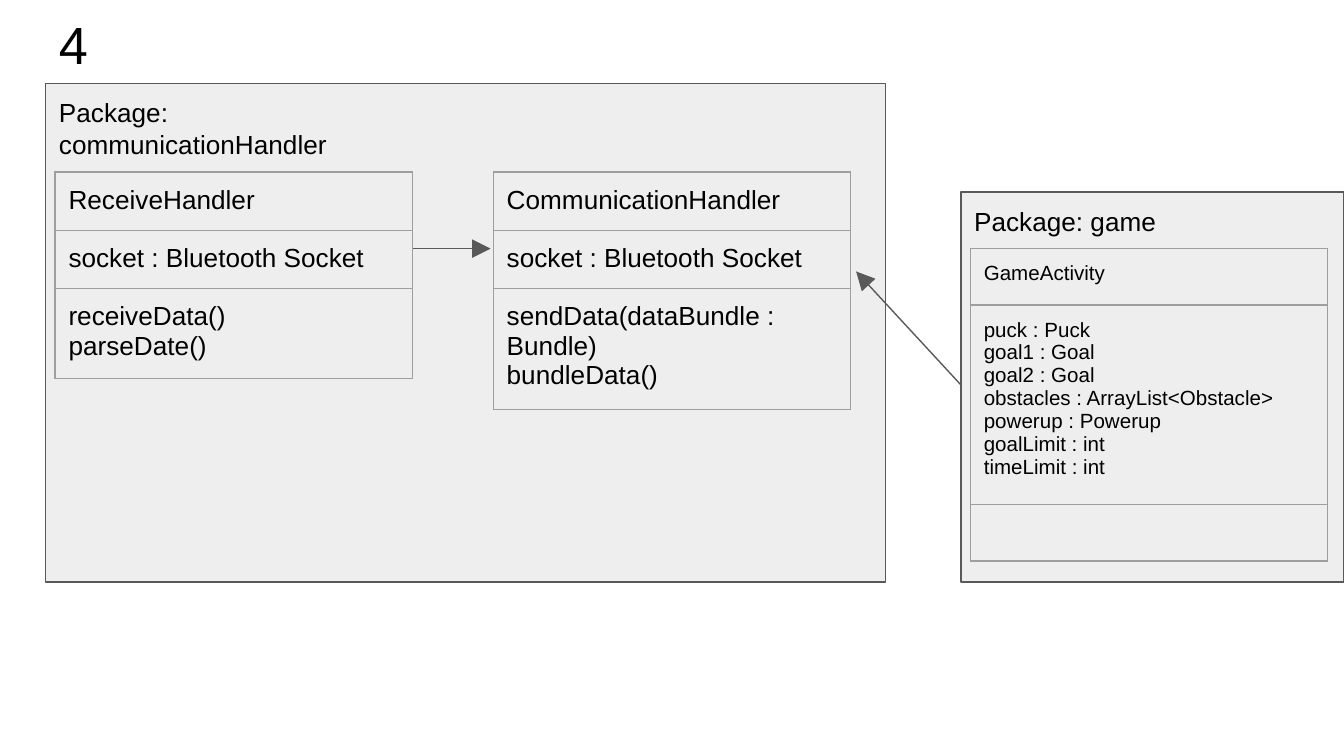
from lxml import etree
from pptx import Presentation
from pptx.dml.color import RGBColor
from pptx.enum.shapes import MSO_CONNECTOR, MSO_SHAPE
from pptx.enum.text import MSO_ANCHOR
from pptx.oxml.ns import qn
from pptx.util import Inches, Pt

RECTANGLE = MSO_SHAPE.RECTANGLE
STRAIGHT = MSO_CONNECTOR.STRAIGHT
TOP = MSO_ANCHOR.TOP

FONT = "Arial"
BLACK, PANEL, OUTLINE, BORDER = "000000", "EEEEEE", "595959", "9E9E9E"
LINE_WIDTH = Pt(0.75)
INSET = Inches(0.1)
CLASS_WIDTH, ROW_HEIGHT = 2.66, 0.42

TITLE = ("4", (0.34, -0.01, 9.32, 0.63))

COMMUNICATION_PACKAGE = {
    "label": "Package: communicationHandler",
    "box": (0.34, 0.62, 6.25, 3.71),
    "label_size": (3.05, 0.42),
    "classes": [
        {"at": (3.67, 1.28), "size": 14, "rows": [
            ["CommunicationHandler"],
            ["socket : Bluetooth Socket"],
            ["sendData(dataBundle : Bundle)", "bundleData()"]]},
        {"at": (0.41, 1.28), "size": 14, "rows": [
            ["ReceiveHandler"],
            ["socket : Bluetooth Socket"],
            ["receiveData()", "parseDate()"]]},
    ],
}
GAME_PACKAGE = {
    "label": "Package: game",
    "box": (7.15, 1.43, 2.85, 2.9),
    "label_size": (2.34, 0.42),
    "classes": [
        {"at": (7.22, 1.85), "size": 11, "rows": [
            ["GameActivity"],
            ["puck : Puck", "goal1 : Goal", "goal2 : Goal",
             "obstacles : ArrayList<Obstacle>", "powerup : Powerup",
             "goalLimit : int", "timeLimit : int"],
            []]},
    ],
}
ARROWS = [((3.07, 1.85), (3.65, 1.85)), ((7.22, 2.94), (6.37, 2.02))]


def color(value):
    """Turn a hex string into a colour."""
    return RGBColor.from_string(value)


def inches(values):
    """Turn numbers into lengths."""
    return [Inches(value) for value in values]


def write(text_frame, lines, size):
    """Write one paragraph per line; without lines, only set the text size."""
    if not lines:
        end = text_frame.paragraphs[0]._p.get_or_add_endParaRPr()
        end.set("sz", str(size * 100))
    for index, line in enumerate(lines):
        paragraph = text_frame.paragraphs[0] if index == 0 else text_frame.add_paragraph()
        run = paragraph.add_run()
        run.text = line
        run.font.name = FONT
        run.font.size = Pt(size)
        run.font.color.rgb = color(BLACK)


def set_insets(target):
    """Give a text frame or a cell equal insets."""
    target.margin_left = target.margin_right = INSET
    target.margin_top = target.margin_bottom = INSET
    target.vertical_anchor = TOP


def add_label(slide, text, box, size):
    """Add a wrapped text box."""
    text_frame = slide.shapes.add_textbox(*inches(box)).text_frame
    text_frame.word_wrap = True
    set_insets(text_frame)
    write(text_frame, [text], size)


def add_panel(slide, box):
    """Add the outlined rectangle of a package."""
    shape = slide.shapes.add_shape(RECTANGLE, *inches(box))
    shape.shadow.inherit = False
    shape.fill.solid()
    shape.fill.fore_color.rgb = color(PANEL)
    shape.line.color.rgb = color(OUTLINE)
    shape.line.width = LINE_WIDTH


def add_borders(cell):
    """Draw all four borders of a cell."""
    properties = cell._tc.get_or_add_tcPr()
    for position, side in enumerate(("lnL", "lnR", "lnT", "lnB")):
        line = etree.Element(qn(f"a:{side}"), w=str(LINE_WIDTH))
        fill = etree.SubElement(line, qn("a:solidFill"))
        etree.SubElement(fill, qn("a:srgbClr"), val=BORDER)
        properties.insert(position, line)


def add_class(slide, at, size, rows):
    """Add a class as a one-column table whose rows grow with their text."""
    box = (*at, CLASS_WIDTH, ROW_HEIGHT * len(rows))
    table = slide.shapes.add_table(len(rows), 1, *inches(box)).table
    table.first_row = table.horz_banding = False
    for row, lines in zip(table.rows, rows):
        cell = row.cells[0]
        set_insets(cell)
        cell.fill.background()
        add_borders(cell)
        write(cell.text_frame, lines, size)


def add_package(slide, package):
    """Add a package panel with its classes and label."""
    add_panel(slide, package["box"])
    add_label(slide, package["label"], package["box"][:2] + package["label_size"], 14)
    for class_box in package["classes"]:
        add_class(slide, **class_box)


def add_arrow(slide, start, end):
    """Add a straight line with a triangle at its end."""
    connector = slide.shapes.add_connector(STRAIGHT, *inches(start + end))
    connector.line.color.rgb = color(OUTLINE)
    connector.line.width = LINE_WIDTH
    line = connector.line._get_or_add_ln()
    etree.SubElement(line, qn("a:tailEnd"), type="triangle", w="lg", len="lg")
    etree.SubElement(connector._element.spPr, qn("a:effectLst"))


presentation = Presentation()
presentation.slide_width = Inches(10)
presentation.slide_height = Inches(10) * 9 // 16
slide = presentation.slides.add_slide(presentation.slide_layouts[6])
add_label(slide, *TITLE, 28)
add_package(slide, COMMUNICATION_PACKAGE)
for start, end in ARROWS:
    add_arrow(slide, start, end)
add_package(slide, GAME_PACKAGE)
presentation.save("out.pptx")
